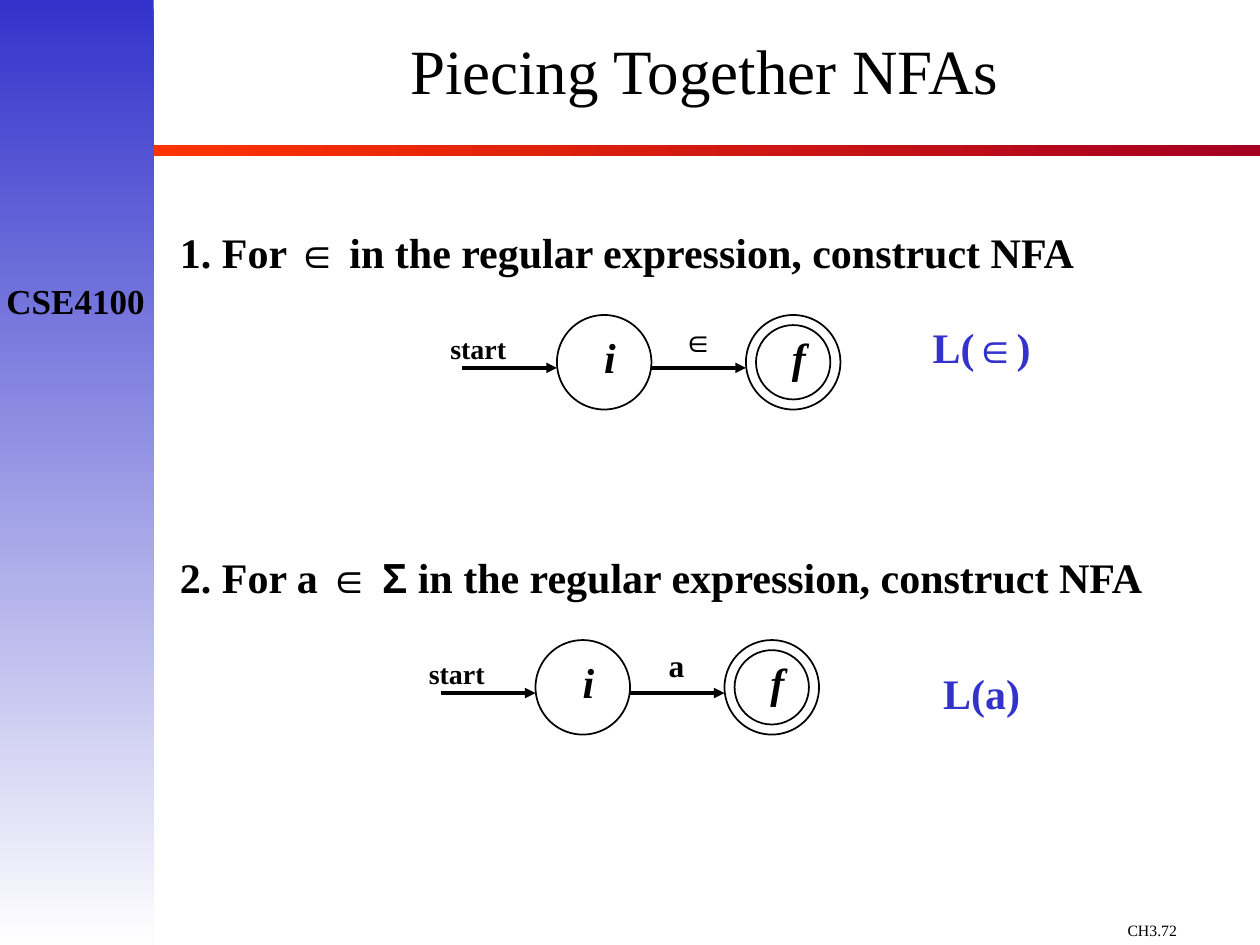
from dataclasses import dataclass

from lxml import etree
from pptx import Presentation
from pptx.dml.color import RGBColor
from pptx.enum.shapes import MSO_CONNECTOR, MSO_SHAPE
from pptx.enum.text import MSO_ANCHOR, PP_ALIGN
from pptx.oxml.ns import qn
from pptx.util import Inches, Pt

STRAIGHT = MSO_CONNECTOR.STRAIGHT
RECTANGLE, OVAL = MSO_SHAPE.RECTANGLE, MSO_SHAPE.OVAL
LEFT, CENTER = PP_ALIGN.LEFT, PP_ALIGN.CENTER
MIDDLE = MSO_ANCHOR.MIDDLE
TITLE_ONLY = 5


@dataclass(frozen=True)
class Theme:
    ink: RGBColor = RGBColor(0x00, 0x00, 0x00)
    blue: RGBColor = RGBColor(0x33, 0x33, 0xCC)
    pale: RGBColor = RGBColor(0xFE, 0xFE, 0xFE)
    orange: RGBColor = RGBColor(0xFF, 0x33, 0x00)
    crimson: RGBColor = RGBColor(0xA5, 0x00, 0x21)
    serif: str = "Times New Roman"
    sans: str = "Arial"
    title: int = 36
    body: int = 24
    course: int = 20
    symbol: int = 18
    start: int = 16
    number: int = 9


THEME = Theme()


def add_runs(para, runs, size, color=THEME.ink, bold=True, italic=False):
    """Add (text, font name) pairs as runs that share one style."""
    for text, font_name in runs:
        span = para.add_run()
        span.text = text
        span.font.name = font_name
        span.font.size = Pt(size)
        span.font.bold = bold
        span.font.italic = italic
        span.font.color.rgb = color


def add_text(page, box, runs, size, align=CENTER, wrap=True, **style):
    frame = page.shapes.add_textbox(*map(Inches, box)).text_frame
    frame.word_wrap = wrap
    para = frame.paragraphs[0]
    para.alignment = align
    add_runs(para, runs, size, **style)


def add_gradient_bar(page, box, first, last, angle):
    bar = page.shapes.add_shape(RECTANGLE, *map(Inches, box))
    bar.shadow.inherit = False
    bar.line.fill.background()
    bar.fill.gradient()
    bar.fill.gradient_angle = angle
    for stop, color in zip(bar.fill.gradient_stops, (first, last)):
        stop.color.rgb = color


def add_circle(page, left, top, size):
    circle = page.shapes.add_shape(OVAL, *map(Inches, (left, top, size, size)))
    circle.shadow.inherit = False
    circle.fill.background()
    circle.line.color.rgb = THEME.ink
    circle.line.width = Pt(1)


def add_arrow(page, left, top, length):
    arrow = page.shapes.add_connector(
        STRAIGHT, *map(Inches, (left, top, left + length, top)))
    arrow.line.color.rgb = THEME.ink
    arrow.line.width = Pt(2)
    etree.SubElement(arrow.line._get_or_add_ln(), qn("a:tailEnd"), type="triangle")
    etree.SubElement(arrow._element.spPr, qn("a:effectLst"))


def add_frame(page, width, height):
    """Draw the sidebar, the rule under the title, and the fixed labels."""
    add_gradient_bar(page, (1.2, 1.15, width - 1.2, 0.09),
                     THEME.orange, THEME.crimson, 0)
    add_gradient_bar(page, (0, 0, 1.22, height), THEME.blue, THEME.pale, 270)
    add_text(page, (8.85, 7.26, 1.15, 0.24), [("CH3.72", THEME.serif)],
             THEME.number, align=LEFT, bold=False)
    add_text(page, (-0.05, 2.17, 1.3, 0.44), [("CSE4100", THEME.serif)],
             THEME.course, wrap=False)


def add_title(page, box, text):
    title = page.shapes.title
    title.left, title.top, title.width, title.height = map(Inches, box)
    frame = title.text_frame
    frame.vertical_anchor = MIDDLE
    para = frame.paragraphs[0]
    para.alignment = CENTER
    para.line_spacing = 0.8
    add_runs(para, [(text, THEME.serif)], THEME.title, bold=False)


def add_automaton(page, left, top, symbol):
    """Draw start -> i -> f, with the symbol on the second arrow."""
    state, step, inset = 0.75, 1.5, 0.08
    first = left + 1
    add_text(page, (left, top + inset, 0.75, 0.37), [("start", THEME.serif)],
             THEME.start)
    add_text(page, (first + 0.83, top, 0.58, 0.4), [symbol], THEME.symbol)
    for index, name in enumerate("if"):
        state_left = first + index * step
        add_circle(page, state_left, top, state)
        add_arrow(page, state_left - state, top + 0.42, state)
        add_text(page, (state_left + 0.17, top + inset, 0.5, 0.5),
                 [(name, THEME.serif)], THEME.body, italic=True)
    add_circle(page, first + step + inset, top + inset, state - 2 * inset)


def add_rule(page, top, heading, diagram_left, symbol, language, language_drop):
    """Place one construction rule: heading, automaton and its language."""
    diagram_top = top + 0.75
    add_text(page, (1.33, top, 8.33, 0.5), heading, THEME.body, align=LEFT)
    add_automaton(page, diagram_left, diagram_top, symbol)
    add_text(page, (7, diagram_top + language_drop, 1.58, 0.5), language,
             THEME.body, color=THEME.blue)


def main():
    deck = Presentation()
    width, height = 10, 7.5
    deck.slide_width, deck.slide_height = Inches(width), Inches(height)
    page = deck.slides.add_slide(deck.slide_layouts[TITLE_ONLY])
    add_frame(page, width, height)
    add_title(page, (1.18, 0, 8.82, 1.22), "Piecing Together NFAs")

    serif, sans = THEME.serif, THEME.sans
    ending = (" in the regular expression, construct NFA", serif)
    element = ("∈", sans)
    add_rule(page, 1.75, [("1. For ", serif), element, ending], 3.42, element,
             [("L(", serif), element, (")", serif)], 0)
    add_rule(page, 4.33, [("2. For a ", serif), ("∈ Σ", sans), ending], 3.25,
             ("a", serif), [("L(a)", serif)], 0.17)
    deck.save("out.pptx")


if __name__ == "__main__":
    main()
